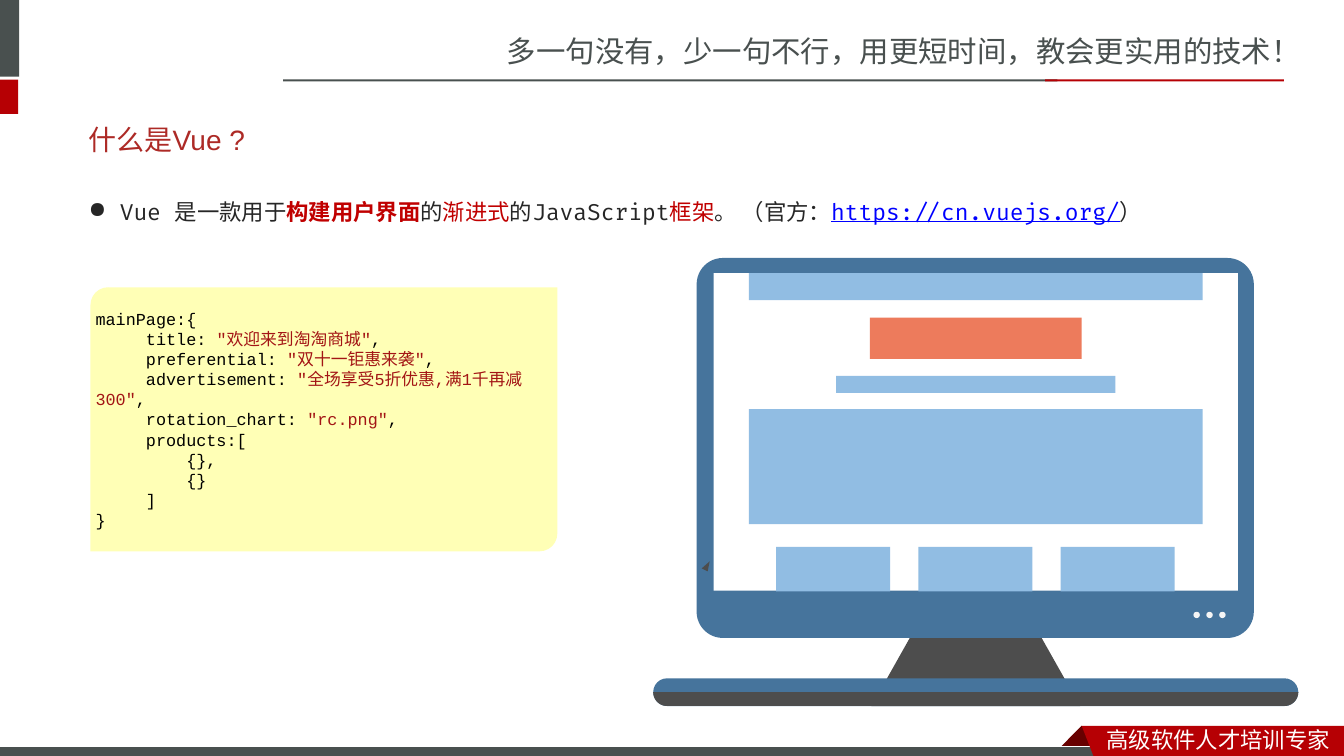
from dataclasses import dataclass
from math import cos, pi, sin

from lxml.etree import SubElement
from pptx import Presentation
from pptx.dml.color import RGBColor
from pptx.enum.shapes import MSO_SHAPE
from pptx.enum.text import MSO_ANCHOR, PP_ALIGN
from pptx.oxml.ns import qn
from pptx.util import Pt


@dataclass(frozen=True)
class Theme:
    slate: str = "49504F"
    red: str = "B60004"
    fold: str = "680000"
    white: str = "FFFFFF"
    title: str = "AD2A26"
    body: str = "262626"
    accent: str = "C00000"
    link: str = "0000FF"
    black: str = "000000"
    string: str = "A31515"
    note: str = "FFFFB6"
    steel: str = "46749C"
    dark: str = "4D4D4D"
    dot: str = "F5F5F5"
    sky: str = "91BDE3"
    coral: str = "ED7B5C"
    han: str = "Noto Sans CJK SC"
    sans: str = "Arial"
    mono: str = "Fira Code"
    code: str = "Courier New"
    slogan_size: float = 21
    title_size: float = 20
    body_size: float = 16
    code_size: float = 12


THEME = Theme()
WIDE, HIGH = 960, 540


def paint(shape, color):
    shape.shadow.inherit = False
    shape.fill.solid()
    shape.fill.fore_color.rgb = RGBColor.from_string(color)
    shape.line.fill.background()
    return shape


def block(slide, box, color, kind=MSO_SHAPE.RECTANGLE, adjust=()):
    shape = slide.shapes.add_shape(kind, *map(Pt, box))
    for i, value in enumerate(adjust):
        shape.adjustments[i] = value
    return paint(shape, color)


def outline(slide, points, color):
    start, *rest = [(Pt(x), Pt(y)) for x, y in points]
    builder = slide.shapes.build_freeform(*start)
    builder.add_line_segments(rest, close=True)
    return paint(builder.convert_to_shape(), color)


def write(frame, lines, size, font):
    """Fill a frame with lines, each a list of (text, colour, *marks)."""
    frame.word_wrap = True
    for i, line in enumerate(lines):
        para = frame.add_paragraph() if i else frame.paragraphs[0]
        para.alignment = PP_ALIGN.LEFT
        for text, color, *marks in line:
            run = para.add_run()
            run.text = text
            run.font.size = Pt(size)
            run.font.color.rgb = RGBColor.from_string(color)
            run.font.bold = "bold" in marks
            run.font.underline = "under" in marks
            run.font.name = font
            east = SubElement(run.font._element, qn("a:ea"))
            east.set("typeface", THEME.han)


def label(slide, box, line, size, font):
    frame = slide.shapes.add_textbox(*map(Pt, box)).text_frame
    write(frame, [line], size, font)
    return frame


def header(slide, box):
    x, y, w, h = box
    t = THEME
    label(slide, (x + 355, y + 20, 605.5, 34),
          [("多一句没有，少一句不行，用更短时间，教会更实用的技术！", t.slate)],
          t.slogan_size, t.han)
    block(slide, (x - 4.3, y, 18, 54.7), t.slate)
    block(slide, (x - 4.3, y + 56.9, 17.3, 24.5), t.red)
    block(slide, (x + 202.3, y + 56.7, 553, 1.5), t.slate)
    block(slide, (x + 746.6, y + 56.7, 170.6, 1.5), t.red)


def footer(slide, box):
    x, y, w, h = box
    t = THEME
    end, fold = x + w, x + 772.6
    outline(slide, [(fold, y), (fold + 15.8, y + 16), (fold + 15, y + 16.6),
                    (fold - 15, y + 16.6), (fold - 15.8, y + 16)], t.fold)
    bar = block(slide, (x - 0.7, y + 15.1, 792, 8.6), t.slate)
    bar.line.color.rgb = RGBColor.from_string(t.white)
    bar.line.width = Pt(0.75)
    outline(slide, [(fold, y), (end, y), (end, y + h),
                    (fold + 9.4, y + h)], t.red)
    label(slide, (end - 176.6, y - 3.6, 176.6, 26.6),
          [("高级软件人才培训专家", t.white)], t.body_size, t.han)


def intro(slide, box):
    x, y, w, h = box
    t = THEME
    frame = label(slide, (x, y, w, 41), [("什么是Vue ?", t.title)],
                  t.title_size, t.sans)
    frame.vertical_anchor = MSO_ANCHOR.MIDDLE
    line = [("Vue 是一款用于", t.body), ("构建用户界面", t.accent, "bold"),
            ("的", t.body), ("渐进式", t.accent), ("的JavaScript", t.body),
            ("框架", t.accent), ("。 （官方：", t.body),
            ("https://cn.vuejs.org/", t.link, "under"), ("）", t.body)]
    frame = label(slide, (x, y + 49, w, 41), line, t.body_size, t.mono)
    para = frame.paragraphs[0]
    props = para._p.get_or_add_pPr()
    props.set("marL", str(Pt(22.3)))
    props.set("indent", str(-Pt(22.3)))
    SubElement(props, qn("a:buChar")).set("char", "●")
    para.line_spacing = 1.5


def listing(slide, box):
    t = THEME
    card = block(slide, box, t.note, MSO_SHAPE.ROUND_2_DIAG_RECTANGLE,
                 (0.067, 0))
    frame = card.text_frame
    frame.margin_left = frame.margin_right = 0
    frame.margin_top = frame.margin_bottom = 0
    frame.vertical_anchor = MSO_ANCHOR.MIDDLE
    fields = [("title", "欢迎来到淘淘商城"), ("preferential", "双十一钜惠来袭"),
              ("advertisement", "全场享受5折优惠,满1千再减300"),
              ("rotation_chart", "rc.png")]
    lines = [[("mainPage:{", t.black)]]
    lines += [[(f"     {key}: ", t.black), (f'"{value}"', t.string),
               (",", t.black)] for key, value in fields]
    tail = ["     products:[", "         {},", "         {}", "     ]", "}"]
    lines += [[(text, t.black)] for text in tail]
    write(frame, lines, t.code_size, t.code)


def screen(slide, box):
    x, y, w, h = box
    t = THEME
    block(slide, box, t.white)
    parts = [(0, 324, 19.4, t.sky), (31.7, 151.2, 29.5, t.coral),
             (73.4, 199.4, 12.2, t.sky), (97.2, 324, 82.1, t.sky)]
    for top, wide, high, color in parts:
        block(slide, (x + (w - wide) / 2, y + top, wide, high), color)
    for i in range(3):
        block(slide, (x + 44.6 + 101.6 * i, y + 195.6, 81.4, 31.7), t.sky)


def monitor(slide, box):
    x, y, w, h = box
    t = THEME
    mid, foot = x + w / 2, y + h
    outline(slide, [(mid - 37.8, y + 254.9), (mid + 37.8, y + 254.9),
                    (mid + 74.5, foot), (mid - 74.5, foot)], t.dark)
    block(slide, (x + 31, y, 398, 271.4), t.steel,
          MSO_SHAPE.ROUNDED_RECTANGLE, (0.069,))
    for i in range(3):
        block(slide, (x + 385.9 + 9.2 * i, y + 252.7, 4.6, 4.5), t.dot,
              MSO_SHAPE.OVAL)
    r = 9.9
    block(slide, (x, foot - 2 * r, w, 2 * r), t.steel,
          MSO_SHAPE.ROUNDED_RECTANGLE, (0.5,))
    turns = [pi / 2 * i / 12 for i in range(13)]
    right = [(x + w - r + r * cos(a), foot - r + r * sin(a)) for a in turns]
    left = [(2 * mid - px, py) for px, py in reversed(right)]
    outline(slide, right + left, t.dark)
    screen(slide, (x + 43.2, y + 10.8, 374.4, 226.8))
    outline(slide, [(x + 38.9, y + 223.9), (x + 34.6, y + 221.8),
                    (x + 40.3, y + 216.7)], t.dark)


def main():
    deck = Presentation()
    deck.slide_width, deck.slide_height = Pt(WIDE), Pt(HIGH)
    slide = deck.slides.add_slide(deck.slide_layouts[6])
    header(slide, (0, 0, WIDE, 82))
    footer(slide, (0, 518.4, WIDE, 24))
    intro(slide, (56.2, 79.2, 842.4, 90))
    monitor(slide, (466.6, 184.3, 460.8, 320))
    listing(slide, (64.6, 205.2, 333.5, 188.6))
    deck.save("out.pptx")


if __name__ == "__main__":
    main()
